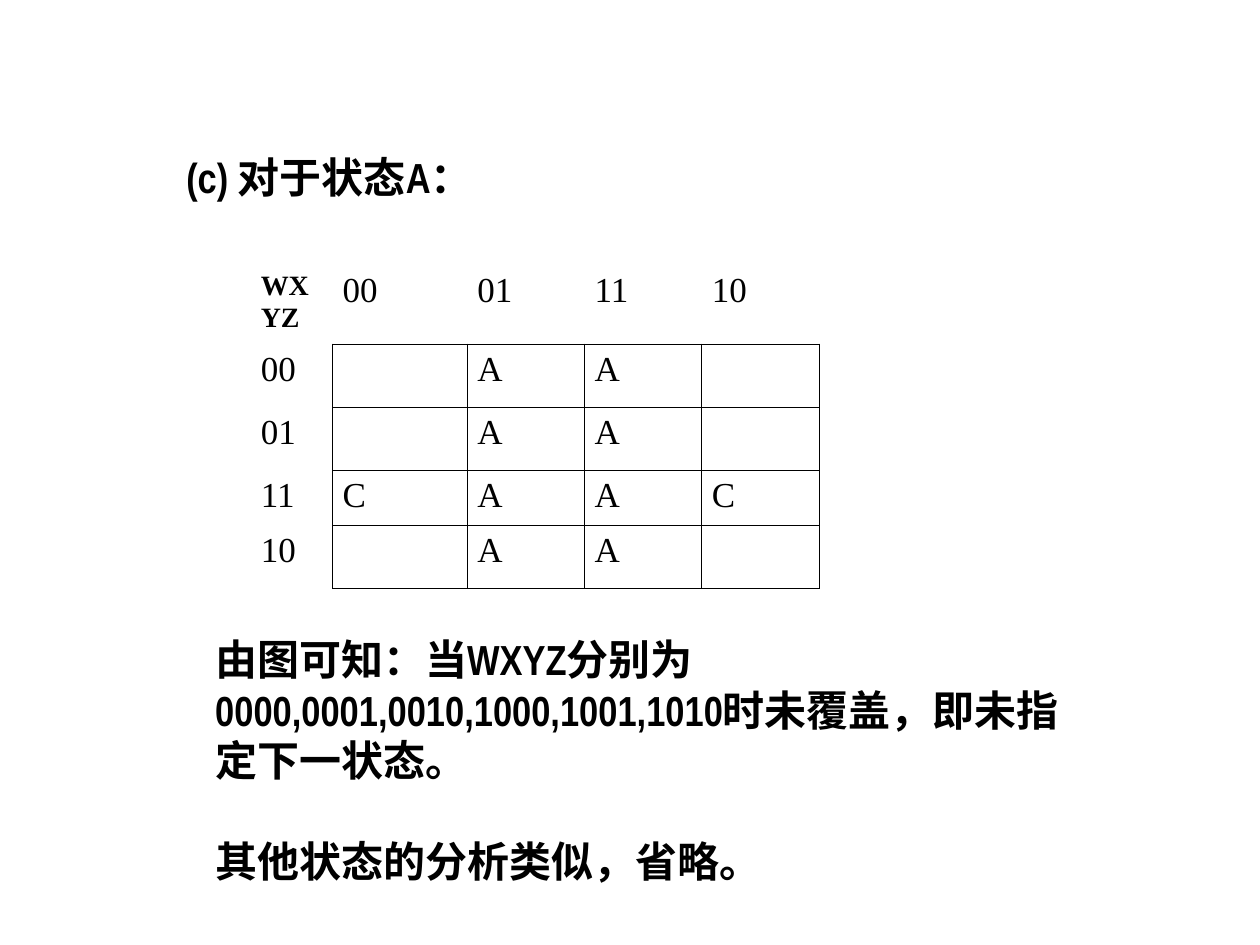
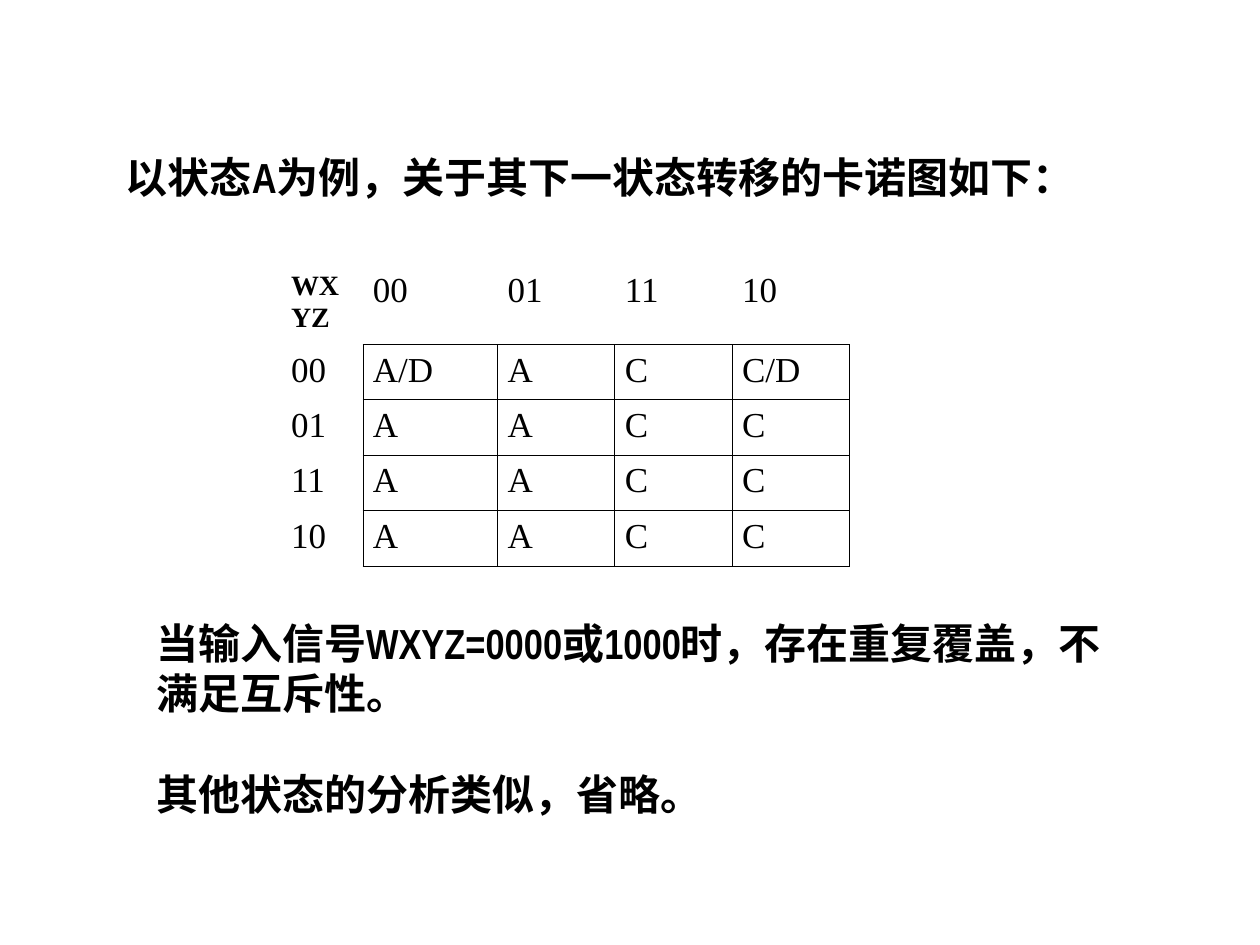
"""Build two slides with Karnaugh maps for the next states of state A."""
from pptx import Presentation
from pptx.dml.color import RGBColor
from pptx.enum.text import MSO_AUTO_SIZE
from pptx.oxml import parse_xml
from pptx.oxml.ns import nsdecls
from pptx.util import Inches, Pt

HUES = {"ink": "000000"}
LOOKS = {
    "prose": {"name": "Arial Narrow", "size": Pt(24), "bold": True},
    "axis": {"name": "Times New Roman", "size": Pt(16), "bold": True},
    "state": {"name": "Times New Roman", "size": Pt(20), "bold": False},
}
PADS = {"margin_left": Inches(0.08), "margin_right": Inches(0.08),
        "margin_top": Inches(0.05), "margin_bottom": Inches(0.05)}
FLAGS = {"first_row": False, "horz_banding": False}
CODES = ["00", "01", "11", "10"]
WIDTHS = [7.9, 10.7, 9.3, 9.3, 9.3]
HEAD = 6.3
LAST = "其他状态的分析类似，省略。"

deck = Presentation()
deck.slide_width, deck.slide_height = Inches(10), Inches(7.5)
COL, ROW = deck.slide_width / 100, deck.slide_height / 75

PAGES = [
    {"title": ("(c) 对于状态A：", 13.8, 11.5, 77.2, 5),
     "left": 18.5, "rows": [5, 5, 4.4, 5],
     "map": [["", "A", "A", ""], ["", "A", "A", ""],
             ["C", "A", "A", "C"], ["", "A", "A", ""]],
     "note": ("由图可知：当WXYZ分别为0000,0001,0010,1000,1001,1010时未覆盖，"
              "即未指定下一状态。\n" + LAST, 16.1, 49.8, 69.3, 25)},
    {"title": ("以状态A为例，关于其下一状态转移的卡诺图如下：", 9, 11.5, 79.6, 5),
     "left": 20.9, "rows": [4.4] * 4,
     "map": [["A/D", "A", "C", "C/D"]] + [["A", "A", "C", "C"]] * 3,
     "note": ("当输入信号WXYZ=0000或1000时，存在重复覆盖，不满足互斥性。\n" + LAST,
              11.4, 48.5, 77.2, 17)},
]


def write(frame, text, look, gap=0):
    """Fill a text frame, one paragraph per line of text."""
    for i, line in enumerate(text.split("\n")):
        para = frame.add_paragraph() if i else frame.paragraphs[0]
        if i and gap:
            para.space_before = Pt(gap)
        run = para.add_run()
        run.text = line
        for key, val in LOOKS[look].items():
            setattr(run.font, key, val)
        run.font.color.rgb = RGBColor.from_string(HUES["ink"])


def edge(cell, sides):
    """Draw the named sides of a cell and clear the others."""
    for side in "LRTB":
        fill = (f'<a:solidFill><a:srgbClr val="{HUES["ink"]}"/></a:solidFill>'
                if side in sides else "<a:noFill/>")
        cell._tc.get_or_add_tcPr().append(parse_xml(
            f'<a:ln{side} {nsdecls("a")} w="{Pt(0.45)}">{fill}</a:ln{side}>'))
    cell.fill.background()


for page in PAGES:
    slide = deck.slides.add_slide(deck.slide_layouts[6])

    highs = [HEAD] + page["rows"]
    grid = slide.shapes.add_table(
        5, 5, int(page["left"] * COL), int(21 * ROW),
        int(sum(WIDTHS) * COL), int(sum(highs) * ROW)).table
    for key, val in FLAGS.items():
        setattr(grid, key, val)
    for col, wide in zip(grid.columns, WIDTHS):
        col.width = int(wide * COL)
    for row, high in zip(grid.rows, highs):
        row.height = int(high * ROW)

    cells = [["WX\nYZ"] + CODES]
    cells += [[code] + line for code, line in zip(CODES, page["map"])]
    for r, line in enumerate(cells):
        for c, text in enumerate(line):
            cell = grid.cell(r, c)
            for key, val in PADS.items():
                setattr(cell, key, val)
            edge(cell, "LRTB" if r and c else "R" if r else "B" if c else "")
            if text:
                write(cell.text_frame, text, "state" if r or c else "axis")
            if c == 0:
                for para in cell.text_frame.paragraphs:
                    para._p.get_or_add_pPr().set("marL", str(Inches(0.14)))

    for part in ("title", "note"):
        text, x, y, wide, high = page[part]
        box = slide.shapes.add_textbox(
            int(x * COL), int(y * ROW), int(wide * COL), int(high * ROW))
        box.text_frame.word_wrap = True
        box.text_frame.auto_size = MSO_AUTO_SIZE.SHAPE_TO_FIT_TEXT
        write(box.text_frame, text, "prose", 29)

deck.save("out.pptx")
